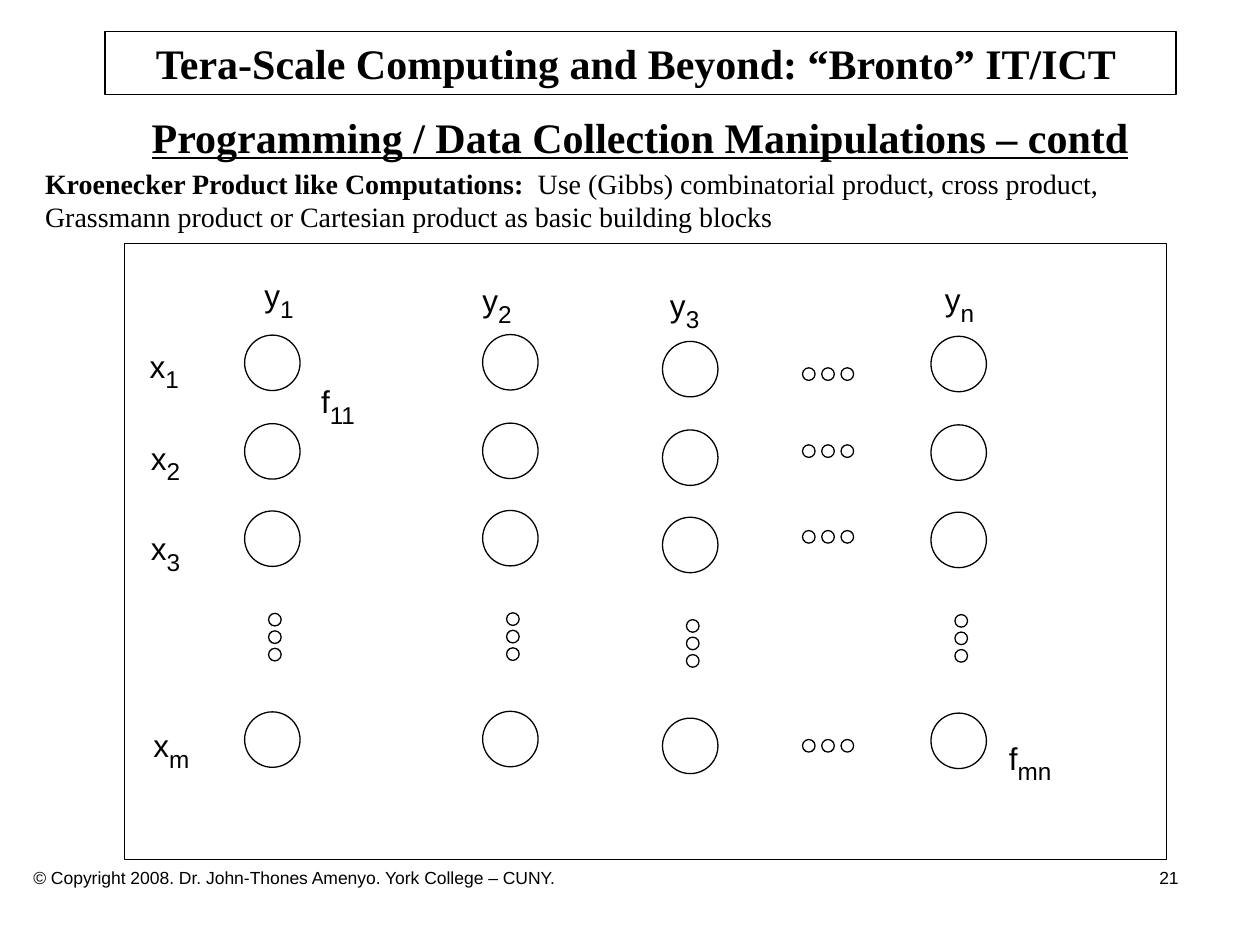
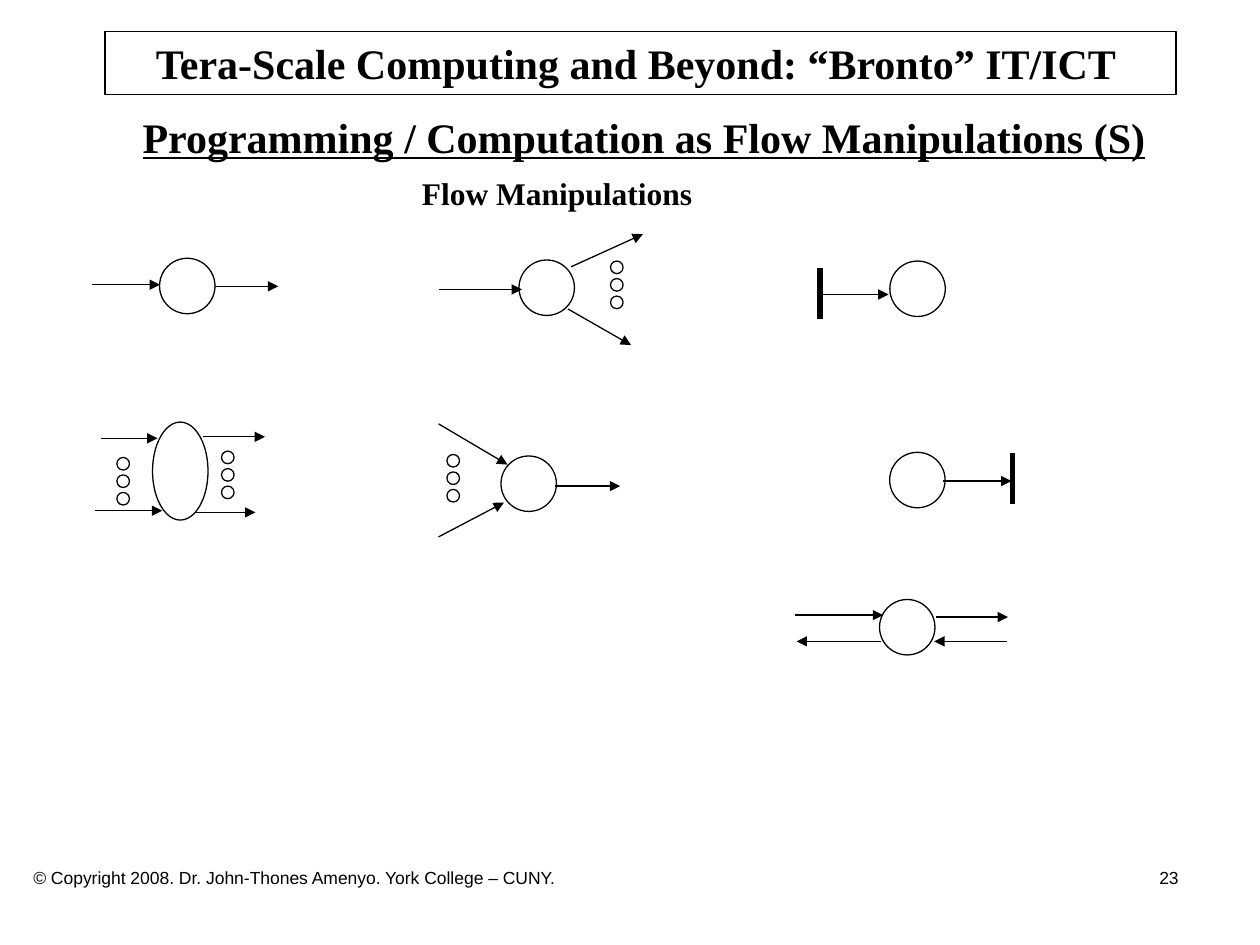
from lxml import etree
from pptx import Presentation
from pptx.dml.color import RGBColor
from pptx.enum.shapes import MSO_CONNECTOR, MSO_SHAPE
from pptx.enum.text import MSO_ANCHOR, PP_ALIGN
from pptx.oxml.ns import qn
from pptx.util import Pt

RECT, OVAL = MSO_SHAPE.RECTANGLE, MSO_SHAPE.OVAL
STRAIGHT = MSO_CONNECTOR.STRAIGHT
TOP, MIDDLE = MSO_ANCHOR.TOP, MSO_ANCHOR.MIDDLE
LEFT, CENTER = PP_ALIGN.LEFT, PP_ALIGN.CENTER

BLACK = "000000"
SERIF, SANS = "Times New Roman", "Arial"
THIN, THICK = 0.75, 3
NODE, DOT = 31.7, 7.2
HEADING = "Tera-Scale Computing and Beyond: “Bronto” IT/ICT"
COPYRIGHT = "© Copyright 2008. Dr. John-Thones Amenyo. York College – CUNY."


def color(hex_code):
    return RGBColor.from_string(hex_code)


def add_run(paragraph, text, size=18, font=SERIF, bold=False, underline=False,
            baseline=0):
    run = paragraph.add_run()
    run.text = text
    run.font.size = Pt(size)
    run.font.name = font
    run.font.bold = bold
    run.font.underline = underline
    run.font.color.rgb = color(BLACK)
    if baseline:
        run.font._element.set("baseline", str(baseline * 1000))


class Deck:
    """Holds the presentation, its style and the current slide."""

    def __init__(self):
        self.prs = Presentation()
        self.prs.slide_width, self.prs.slide_height = Pt(720), Pt(540)
        self.slide = None

    def new_slide(self, subtitle, center, number):
        self.slide = self.prs.slides.add_slide(self.prs.slide_layouts[6])
        # Heading band
        band = self.outline(RECT, 60, 18, 612, 36)
        # The wider right inset sets the heading slightly left of centre
        self.fill_text(band.text_frame, [(HEADING, dict(size=24, bold=True))],
                       CENTER, MIDDLE, right_inset=12.2)
        # Subtitle
        width = 604
        self.text(center - width / 2, 60, width, 40,
                  (subtitle, dict(size=24, bold=True, underline=True)), align=CENTER)
        # Footer with the page number on a right tab
        footer = self.text(12, 492, 684, 19.4,
                           (f"{COPYRIGHT}\t{number}", dict(size=10, font=SANS)))
        tabs = etree.SubElement(footer._p.get_or_add_pPr(), qn("a:tabLst"))
        etree.SubElement(tabs, qn("a:tab"), pos=str(Pt(654.5)), algn="r")

    def fill_text(self, frame, runs, align=LEFT, anchor=TOP, right_inset=7.2):
        frame.word_wrap = True
        frame.vertical_anchor = anchor
        frame.margin_left, frame.margin_right = Pt(7.2), Pt(right_inset)
        frame.margin_top = frame.margin_bottom = Pt(3.6)
        paragraph = frame.paragraphs[0]
        paragraph.alignment = align
        for content, style in runs:
            add_run(paragraph, content, **style)
        return paragraph

    def text(self, x, y, width, height, *runs, align=LEFT):
        box = self.slide.shapes.add_textbox(Pt(x), Pt(y), Pt(width), Pt(height))
        return self.fill_text(box.text_frame, runs, align)

    def label(self, x, y, letter, index):
        self.text(x, y, 45, 40, (letter, dict(font=SANS)),
                  (index, dict(size=24, font=SANS, baseline=-25)))

    def outline(self, kind, x, y, width, height):
        shape = self.slide.shapes.add_shape(kind, Pt(x), Pt(y), Pt(width), Pt(height))
        shape.shadow.inherit = False
        shape.fill.background()
        shape.line.color.rgb = color(BLACK)
        shape.line.width = Pt(THIN)
        return shape

    def node(self, x, y, height=NODE):
        self.outline(OVAL, x, y, NODE, height)

    def dots(self, x, y, dx=0, dy=0):
        for i in range(3):
            self.outline(OVAL, x + i * dx, y + i * dy, DOT, DOT)

    def line(self, x1, y1, x2, y2, weight=THIN, arrow=False):
        link = self.slide.shapes.add_connector(STRAIGHT, Pt(x1), Pt(y1), Pt(x2), Pt(y2))
        link.line.color.rgb = color(BLACK)
        link.line.width = Pt(weight)
        if arrow:
            etree.SubElement(link.line._get_or_add_ln(), qn("a:tailEnd"),
                             type="triangle")
        etree.SubElement(link._element.spPr, qn("a:effectLst"))

    def flow(self, node, arrows, dots=(), bar=None):
        self.node(*node)
        for ends in arrows:
            self.line(*ends, arrow=True)
        for x, y in dots:
            self.dots(x, y, dy=10)
        if bar:
            x, y = bar
            self.line(x, y, x, y + 29, weight=THICK)


def product_slide(deck):
    deck.new_slide("Programming / Data Collection Manipulations – contd", 365.8, 21)
    deck.text(18.7, 91.4, 678, 46,
              ("Kroenecker Product like Computations:", dict(size=16, bold=True)),
              ("  Use (Gibbs) combinatorial product, cross product, Grassmann product"
               " or Cartesian product as basic building blocks", dict(size=16)))
    deck.outline(RECT, 71.3, 139, 595.4, 352)

    # Columns of the product grid
    for x, y in [(139.8, 191.5), (275.8, 191.2), (378.6, 195.1), (532, 192.2)]:
        for row_offset in (0, 50.6, 100.5, 215.3):
            deck.node(x, y + row_offset)
        deck.dots(x + 13.7, y + 159, dy=10)

    # Dots between the third and last columns
    for y in (210.2, 254.2, 303.2, 422.6):
        deck.dots(458.6, y, dx=11)

    # Column, row and cell labels
    for x, y, letter, index in [
        (144, 148.3, "y", "1"), (268.6, 151.2, "y", "2"),
        (375.8, 154.1, "y", "3"), (532.8, 150.5, "y", "n"),
        (78.5, 188.6, "x", "1"), (79.2, 241.2, "x", "2"),
        (79.2, 293, "x", "3"), (80.6, 405.4, "x", "m"),
        (176.4, 208.8, "f", "11"), (569.5, 412.6, "f", "mn"),
    ]:
        deck.label(x, y, letter, index)


def flow_slide(deck):
    deck.new_slide("Programming / Computation as Flow Manipulations (S)", 368, 23)
    deck.text(234, 95.8, 300, 29, ("Flow Manipulations", dict(bold=True)))

    # One in, one out
    deck.flow((91.2, 147.6), [(52.5, 162.7, 91.5, 162.7), (122.7, 163.6, 159, 163.6)])
    # Many in, many out
    deck.flow((87.2, 241.2, 56),
              [(57.8, 250.5, 90, 250.5), (54.2, 291.8, 92.7, 291.8),
               (116, 249.6, 151.4, 249.6), (111.8, 292.8, 146, 292.8)],
              dots=[(66.8, 261.4), (126.6, 257.8)])
    # Split
    deck.flow((296.6, 148.6),
              [(250.6, 165.4, 298.3, 165.4), (326.3, 152.5, 367.4, 133.8),
               (324.6, 176.6, 360.6, 197.2)],
              dots=[(348.9, 149.2)])
    # Merge
    deck.flow((286.3, 260.6),
              [(250.6, 242.2, 290, 265.5), (250.6, 306.8, 288, 287.2),
               (317, 277.8, 354.4, 277.8)],
              dots=[(255.4, 259.7)])
    # Source
    deck.flow((508.5, 149.2), [(469.4, 168.3, 507.8, 168.3)], bar=(468.6, 153.3))
    # Sink
    deck.flow((508.4, 258.5), [(538.8, 274.9, 578, 274.9)], bar=(578.8, 259))
    # Two-way
    deck.flow((502.6, 342.6),
              [(454.3, 351.5, 504.7, 351.5), (535, 352.6, 576, 352.6),
               (575.2, 366.5, 533.8, 366.5), (503.2, 366.5, 455.2, 366.5)])


def main():
    deck = Deck()
    product_slide(deck)
    flow_slide(deck)
    deck.prs.save("out.pptx")


if __name__ == "__main__":
    main()
